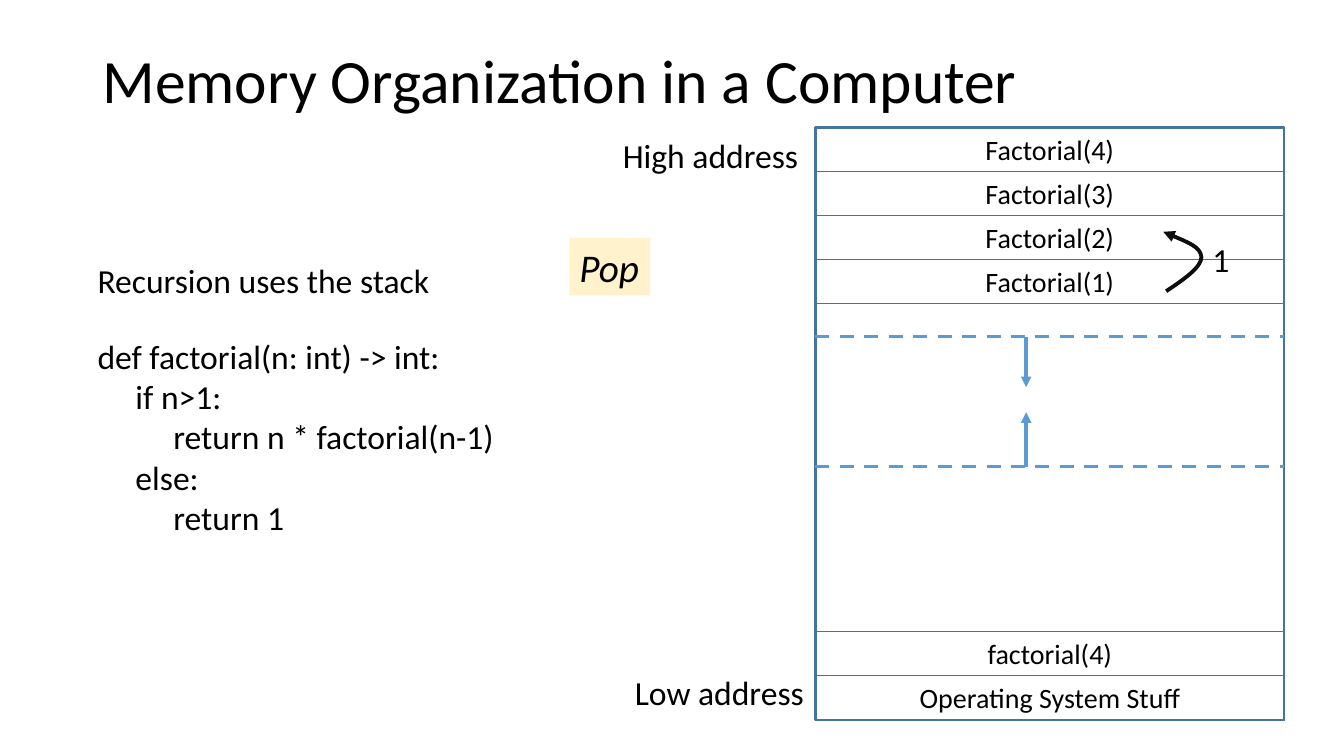
from lxml.etree import SubElement
from pptx import Presentation
from pptx.dml.color import RGBColor
from pptx.enum.dml import MSO_LINE
from pptx.enum.shapes import MSO_CONNECTOR, MSO_SHAPE
from pptx.enum.text import MSO_ANCHOR, MSO_AUTO_SIZE, PP_ALIGN
from pptx.oxml.ns import qn
from pptx.util import Pt

TITLE = "Memory Organization in a Computer"
STACK_FRAMES = ["Factorial(4)", "Factorial(3)", "Factorial(2)", "Factorial(1)"]
LOW_MEMORY = ["Operating System Stuff", "factorial(4)"]
CODE = [
    "def factorial(n: int) -> int:",
    "     if n>1:",
    "          return n * factorial(n-1)",
    "     else:",
    "          return 1",
]
LABELS = [
    (["Low address"], (446.4, 476.6, 136, 36.4)),
    (["High address"], (437.8, 92.9, 141, 36.4)),
    (["Recursion uses the stack"], (62.6, 182.2, 253.4, 36.4)),
    (["1"], (859, 167, 26.6, 36.4)),
    (CODE, (62.6, 236.2, 299.5, 181.4)),
]
POP = (["Pop"], (406.8, 170, 57.6, 41))
GROWTH = [(240.5, 276.5), (333.4, 294.5)]
RETURN_CURVE = [(833, 208), (846, 199.4), (858.2, 190.8), (858.2, 183.6),
                (857.5, 176.4), (844.6, 171.4), (830.9, 165.6)]

MEMORY_LEFT, MEMORY_TOP, MEMORY_WIDTH, MEMORY_HEIGHT = 582.5, 91, 334.8, 423.4
MEMORY_RIGHT = MEMORY_LEFT + MEMORY_WIDTH
MEMORY_BOTTOM = MEMORY_TOP + MEMORY_HEIGHT
ROW_HEIGHT, STACK_PITCH, GROWTH_X = 31.7, 31.4, 733
BORDER, DIVIDER, CURVE, INK, HIGHLIGHT = "43739E", "5B9BD5", "0D0D0D", "000000", "FFF2CC"


def color(value):
    return RGBColor.from_string(value)


def write(shape, lines, size, align=PP_ALIGN.LEFT, wrap=False, italic=None):
    frame = shape.text_frame
    frame.word_wrap = wrap
    frame.auto_size = MSO_AUTO_SIZE.SHAPE_TO_FIT_TEXT
    frame.vertical_anchor = MSO_ANCHOR.TOP
    frame.text = "\n".join(lines)
    for paragraph in frame.paragraphs:
        paragraph.alignment = align
        font = paragraph.font
        font.name, font.size, font.italic = "Calibri", Pt(size), italic
        font.color.rgb = color(INK)
    return frame


def add_label(lines, box, size):
    return write(slide.shapes.add_textbox(*map(Pt, box)), lines, size)


def add_block(box, weight=None, fill=None):
    block = slide.shapes.add_shape(MSO_SHAPE.RECTANGLE, *map(Pt, box))
    block.shadow.inherit = False
    if fill:
        block.fill.solid()
        block.fill.fore_color.rgb = color(fill)
    else:
        block.fill.background()
    if weight:
        block.line.color.rgb = color(BORDER)
        block.line.width = Pt(weight)
    else:
        block.line.fill.background()
    return block


def add_row(text, top):
    row = add_block((MEMORY_LEFT, top, MEMORY_WIDTH, ROW_HEIGHT), 0.75)
    write(row, [text], 20, PP_ALIGN.CENTER, wrap=True)


def add_arrowhead(line):
    SubElement(line.line._get_or_add_ln(), qn("a:tailEnd"), type="triangle")


def add_line(x1, y1, x2, y2):
    line = slide.shapes.add_connector(MSO_CONNECTOR.STRAIGHT, *map(Pt, (x1, y1, x2, y2)))
    line.line.color.rgb = color(DIVIDER)
    line.line.width = Pt(2.5)
    SubElement(line._element.spPr, qn("a:effectLst"))
    return line


def add_curve(points):
    start, *rest = [(Pt(x), Pt(y)) for x, y in points]
    builder = slide.shapes.build_freeform(*start)
    builder.add_line_segments(rest, close=False)
    curve = builder.convert_to_shape()
    outline = next(curve._element.iter(qn("a:path")))
    segments = outline.findall(qn("a:lnTo"))
    for first in range(0, len(segments), 3):
        bezier = SubElement(outline, qn("a:cubicBezTo"))
        for segment in segments[first:first + 3]:
            bezier.append(segment[0])
            outline.remove(segment)
    curve.shadow.inherit = False
    curve.fill.background()
    curve.line.color.rgb = color(CURVE)
    curve.line.width = Pt(2.75)
    add_arrowhead(curve)


presentation = Presentation()
presentation.slide_width, presentation.slide_height = Pt(960), Pt(540)
slide = presentation.slides.add_slide(presentation.slide_layouts[6])

title = add_label([TITLE], (66.2, 7.2, 828, 104.4), 44)
title.auto_size = MSO_AUTO_SIZE.NONE
title.word_wrap = True
title.vertical_anchor = MSO_ANCHOR.MIDDLE
title.paragraphs[0].line_spacing = 0.9

add_block((MEMORY_LEFT, MEMORY_TOP, MEMORY_WIDTH, MEMORY_HEIGHT), 1.75)
for level, text in enumerate(LOW_MEMORY, 1):
    add_row(text, MEMORY_BOTTOM - level * ROW_HEIGHT)
for level, text in enumerate(STACK_FRAMES):
    add_row(text, MEMORY_TOP + level * STACK_PITCH)

for boundary, tip in GROWTH:
    add_line(MEMORY_LEFT, boundary, MEMORY_RIGHT, boundary).line.dash_style = MSO_LINE.DASH
    add_arrowhead(add_line(GROWTH_X, boundary, GROWTH_X, tip))

add_curve(RETURN_CURVE)
for lines, box in LABELS:
    add_label(lines, box, 24)
pop_lines, pop_box = POP
write(add_block(pop_box, fill=HIGHLIGHT), pop_lines, 28, italic=True)

presentation.save("out.pptx")
